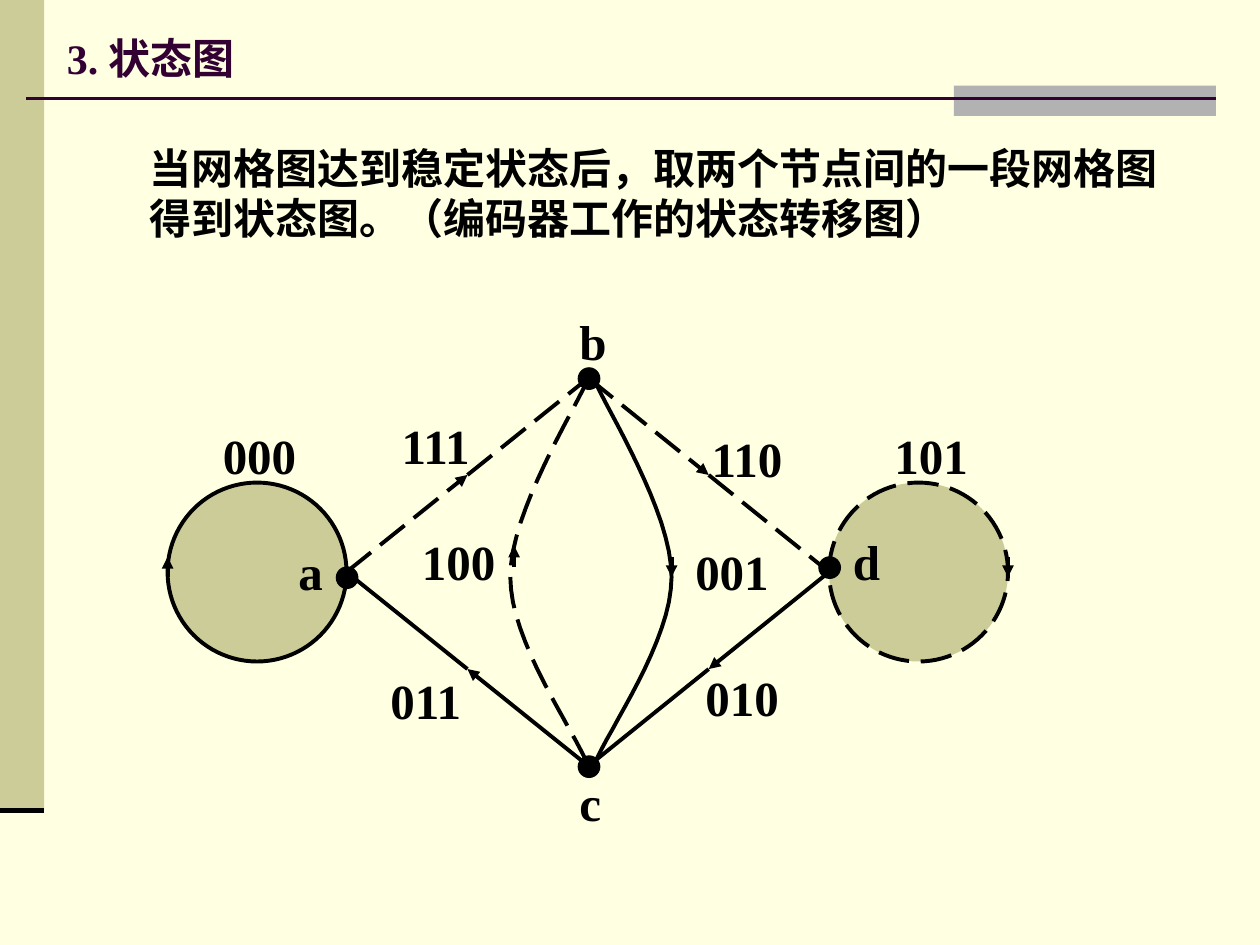
"""Build the state diagram slide of a convolutional encoder."""
from lxml.etree import SubElement
from pptx import Presentation
from pptx.dml.color import RGBColor
from pptx.enum.dml import MSO_LINE
from pptx.enum.shapes import MSO_CONNECTOR, MSO_SHAPE
from pptx.enum.text import MSO_ANCHOR, PP_ALIGN
from pptx.oxml.ns import qn
from pptx.util import Inches, Pt

HUES = {"paper": "FFFFE1", "sand": "CCCC99", "grey": "B2B2B2",
        "plum": "330033", "ink": "000000"}
FACE = "Times New Roman"
WIDE, HIGH = 10, 7.5
TITLE = "3. 状态图"
BODY = ["当网格图达到稳定状态后，取两个节点间的一段网格图",
        "得到状态图。（编码器工作的状态转移图）"]
NODES = {"a": (2.75, 4.54), "b": (4.67, 3), "c": (4.67, 6.08), "d": (6.58, 4.54)}
DOTS = [(2.75, 4.58), (4.67, 6.08), (4.67, 3), (6.58, 4.5)]
EDGES = [("b", "d", True), ("c", "a", False), ("d", "c", False), ("a", "b", True)]
LOOPS = [(6.58, True), (1.33, False)]
TIPS = [(1.33, 4.58, 4.42), (8, 4.42, 4.58), (4.08, 4.5, 4.33), (5.33, 4.42, 4.58)]
CURVE = [[(4.67, 3), (4.56, 3.26), (4.05, 4.06), (4.05, 4.58)],
         [(4.05, 4.58), (4.05, 5.09), (4.54, 5.77), (4.67, 6.08)]]
AXIS, STEPS, GRAIN = 4.69, 16, 1000
LABELS = [("a", 2.27, 4.25), ("b", 4.5, 2.42), ("c", 4.5, 6.08), ("d", 6.67, 4.17),
          ("010", 5.5, 5.25), ("000", 1.67, 3.33), ("101", 7, 3.33),
          ("011", 3, 5.27), ("110", 5.55, 3.35), ("111", 3.09, 3.25),
          ("100", 3.25, 4.17), ("001", 5.42, 4.25)]


def tint(name):
    return RGBColor.from_string(HUES[name])


def ink(line, hue="ink", width=2.25, dash=False):
    line.color.rgb = tint(hue)
    line.width = Pt(width)
    if dash:
        line.dash_style = MSO_LINE.LONG_DASH


def link(slide, start, end, tip=False, **look):
    ends = [Inches(v) for v in (*start, *end)]
    wire = slide.shapes.add_connector(MSO_CONNECTOR.STRAIGHT, *ends)
    ink(wire.line, **look)
    if tip:
        SubElement(wire.line._get_or_add_ln(), qn("a:tailEnd"), type="triangle")
    SubElement(wire._element.spPr, qn("a:effectLst"))


def form(slide, kind, box, fill, **look):
    part = slide.shapes.add_shape(kind, *[Inches(v) for v in box])
    part.shadow.inherit = False
    part.fill.solid()
    part.fill.fore_color.rgb = tint(fill)
    if look:
        ink(part.line, **look)
    else:
        part.line.fill.background()


def write(frame, lines, size, hue="ink", pitch=None):
    frame.text = "\n".join(lines)
    look = {"size": Pt(size), "bold": True, "name": FACE}
    for para in frame.paragraphs:
        para.alignment = PP_ALIGN.LEFT
        if pitch:
            para.line_spacing = Pt(pitch)
        for run in para.runs:
            for key, value in look.items():
                setattr(run.font, key, value)
            run.font.color.rgb = tint(hue)


def label(slide, lines, box, size, pitch=None):
    frame = slide.shapes.add_textbox(*[Inches(v) for v in box]).text_frame
    frame.word_wrap = False
    write(frame, lines, size, pitch=pitch)


def bend(points, t):
    parts = (1 - t) ** 3, 3 * t * (1 - t) ** 2, 3 * t * t * (1 - t), t ** 3
    return tuple(sum(k * p[i] for k, p in zip(parts, points)) for i in (0, 1))


def arc(slide, points, dash):
    dots = [(round(x * GRAIN), round(y * GRAIN)) for x, y in points]
    pen = slide.shapes.build_freeform(*dots[0], scale=Inches(1) / GRAIN)
    pen.add_line_segments(dots[1:], close=False)
    part = pen.convert_to_shape()
    part.shadow.inherit = False
    part.fill.background()
    ink(part.line, dash=dash)


def frame_page(slide):
    back = slide.background.fill
    back.solid()
    back.fore_color.rgb = tint("paper")
    form(slide, MSO_SHAPE.RECTANGLE, (0, 0, 0.35, 6.43), "sand")
    form(slide, MSO_SHAPE.RECTANGLE, (7.57, 0.68, 2.08, 0.24), "grey")
    link(slide, (0.21, 0.78), (9.65, 0.78), hue="plum", width=1.5)
    link(slide, (0.35, 6.43), (0, 6.43), width=3)
    title = slide.shapes.title
    box = {"left": 0.43, "top": 0.21, "width": 7.75, "height": 0.5}
    for key, value in box.items():
        setattr(title, key, Inches(value))
    title.text_frame.vertical_anchor = MSO_ANCHOR.MIDDLE
    write(title.text_frame, [TITLE], 24, "plum")
    label(slide, BODY, (1.09, 1.08, 8.2, 0.9), 24, 28.8)


def draw_graph(slide):
    for start, end, dash in EDGES:
        head, foot = NODES[start], NODES[end]
        mid = tuple((p + q) / 2 for p, q in zip(head, foot))
        link(slide, head, mid, tip=True, dash=dash)
        link(slide, mid, foot, dash=dash)
    for left, dash in LOOPS:
        form(slide, MSO_SHAPE.OVAL, (left, 3.83, 1.42, 1.42), "sand", dash=dash)
    for x, y in DOTS:
        form(slide, MSO_SHAPE.OVAL, (x - 0.08, y - 0.08, 0.17, 0.17), "ink", width=0.75)
    left = [bend(part, i / STEPS) for part in CURVE for i in range(STEPS + 1)]
    arc(slide, left, True)
    arc(slide, [(2 * AXIS - x, y) for x, y in left], False)
    for x, start, end in TIPS:
        link(slide, (x, start), (x, end), tip=True)
    for text, x, y in LABELS:
        label(slide, [text], (x, y, 0.2 + 0.2 * len(text), 0.57), 28)


def main():
    deck = Presentation()
    deck.slide_width, deck.slide_height = Inches(WIDE), Inches(HIGH)
    slide = deck.slides.add_slide(deck.slide_layouts[5])
    frame_page(slide)
    draw_graph(slide)
    deck.save("out.pptx")


if __name__ == "__main__":
    main()
